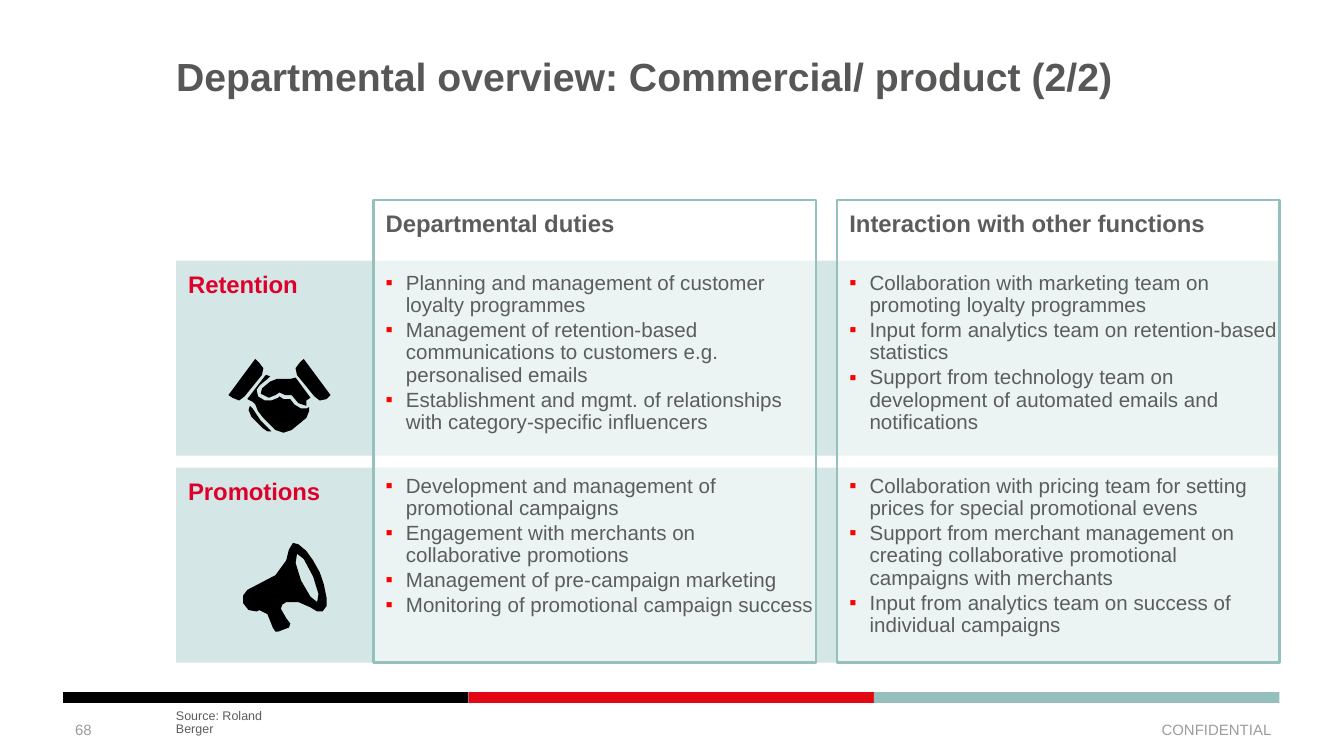
from lxml import etree
from pptx import Presentation
from pptx import util as u
from pptx.dml.color import RGBColor
from pptx.enum import shapes, text
from pptx.oxml.ns import qn

BLACK = RGBColor(0x00, 0x00, 0x00)
WHITE = RGBColor(0xFF, 0xFF, 0xFF)
BRAND_RED = RGBColor(0xE3, 0x06, 0x13)
LABEL_RED = RGBColor(0xDE, 0x00, 0x2B)
TEAL = RGBColor(0x94, 0xBF, 0xBD)
PANEL_TEAL = RGBColor(0x94, 0xC0, 0xBE)
PALE_TEAL = RGBColor(0xD4, 0xE6, 0xE5)
TITLE_GREY = RGBColor(0x57, 0x57, 0x56)
TEXT_GREY = RGBColor(0x5C, 0x5C, 0x5C)
FOOTER_GREY = RGBColor(0x9C, 0x9C, 0x9C)

# Grid, in inches
LEFT, RIGHT = 1.31, 9.52
COLUMN_LEFT, COLUMN_WIDTH, COLUMN_PITCH = 2.78, 3.29, 3.45
HEADER_TOP, ROW_TOP, ROW_HEIGHT, ROW_PITCH = 1.49, 1.94, 1.45, 1.54
DUTY_PITCH = 1.51
PANEL_HEIGHT = ROW_TOP + ROW_PITCH + ROW_HEIGHT - HEADER_TOP
STRIPE_LEFT, STRIPE_TOP, STRIPE_HEIGHT = 0.47, 5.15, 0.08
INSETS = (0.09, 0.09, 0, 0)
HEADING_SIZE = 12.75

ROWS = ["Retention", "Promotions"]
COLUMNS = {
    "Departmental duties": [
        ["Planning and management of customer loyalty programmes",
         "Management of retention-based communications to customers e.g. personalised emails",
         "Establishment and mgmt. of relationships with category-specific influencers"],
        ["Development and management of promotional campaigns",
         "Engagement with merchants on collaborative promotions",
         "Management of pre-campaign marketing",
         "Monitoring of promotional campaign success"],
    ],
    "Interaction with other functions": [
        ["Collaboration with marketing team on promoting loyalty programmes",
         "Input form analytics team on retention-based statistics",
         "Support from technology team on development of automated emails and notifications"],
        ["Collaboration with pricing team for setting prices for special promotional evens",
         "Support from merchant management on creating collaborative promotional campaigns with merchants",
         "Input from analytics team on success of individual campaigns"],
    ],
}

# Icon outlines, in hundredths of an inch
HANDS = [
    [(198, 279), (201, 280), (199, 282), (193, 287), (191, 290), (192, 295),
     (197, 298), (202, 298), (207, 296), (208, 295), (211, 297), (216, 297),
     (219, 301), (224, 304), (228, 304), (230, 303), (230, 306), (228, 311),
     (217, 320), (211, 322), (205, 320), (196, 311), (192, 306), (190, 301),
     (188, 299), (184, 297), (197, 280)],
    [(220, 281), (216, 282), (206, 282), (201, 284), (195, 289), (194, 293),
     (200, 296), (205, 294), (208, 292), (212, 294), (217, 294), (222, 300),
     (228, 302), (228, 298), (231, 296)],
    [(202, 321), (199, 321), (196, 319), (187, 310), (185, 305), (186, 302),
     (188, 304), (190, 307), (194, 313)],
]
CUFFS = [
    [(170, 294), (173, 296), (178, 298), (182, 295), (195, 279), (196, 274),
     (193, 270), (190, 267)],
    [(246, 294), (243, 297), (238, 298), (234, 295), (221, 279), (220, 274),
     (223, 270), (226, 267)],
]
MEGAPHONE = [
    [(238, 426), (233, 417), (228, 410), (222, 405), (218, 404), (215, 409),
     (213, 417), (205, 428), (184, 439), (181, 443), (181, 449), (185, 454),
     (191, 455), (193, 454), (197, 456), (199, 457), (203, 467), (205, 470),
     (207, 470), (215, 467), (216, 464), (213, 460), (209, 453), (210, 450),
     (213, 448), (222, 448), (231, 452), (236, 455), (240, 455), (243, 451),
     (243, 445), (241, 435)],
    [(236, 448), (231, 444), (224, 432), (220, 419), (221, 412), (226, 416),
     (233, 429), (237, 442)],
]

presentation = Presentation()
presentation.slide_width = u.Inches(10)
presentation.slide_height = presentation.slide_width * 9 // 16
slide = presentation.slides.add_slide(presentation.slide_layouts[6])


def add_rectangle(left, top, width, height, color):
    shape = slide.shapes.add_shape(
        shapes.MSO_SHAPE.RECTANGLE, *map(u.Inches, (left, top, width, height)))
    shape.shadow.inherit = False
    shape.fill.solid()
    shape.fill.fore_color.rgb = color
    shape.line.fill.background()
    return shape


def write(shape, lines, size, color, bold=False, insets=(0, 0, 0, 0), bullets=False,
          align=text.PP_ALIGN.LEFT, anchor=text.MSO_ANCHOR.TOP, spacing=0.9):
    frame = shape.text_frame
    frame.word_wrap = True
    frame.vertical_anchor = anchor
    (frame.margin_left, frame.margin_top,
     frame.margin_right, frame.margin_bottom) = map(u.Inches, insets)
    for index, line in enumerate(lines):
        paragraph = frame.paragraphs[0] if index == 0 else frame.add_paragraph()
        paragraph.text = line
        paragraph.alignment = align
        paragraph.line_spacing = spacing
        if index:
            paragraph.space_before = u.Pt(1.5)
        if bullets:
            properties = paragraph._p.get_or_add_pPr()
            properties.set("marL", str(u.Inches(0.15)))
            properties.set("indent", str(-u.Inches(0.15)))
            bullet_color = etree.SubElement(properties, qn("a:buClr"))
            etree.SubElement(bullet_color, qn("a:srgbClr"), val="FF0000")
            etree.SubElement(properties, qn("a:buFont"), typeface="Arial")
            etree.SubElement(properties, qn("a:buChar"), char="▪")
        font = paragraph.font
        font.name, font.size, font.bold = "Arial", u.Pt(size), bold
        font.color.rgb = color


# Footer stripe
stripe_width = (RIGHT - STRIPE_LEFT) / 3
for index, color in enumerate([BLACK, BRAND_RED, TEAL]):
    add_rectangle(STRIPE_LEFT + index * stripe_width, STRIPE_TOP,
                  stripe_width, STRIPE_HEIGHT, color)

# Title
title = slide.shapes.add_textbox(*map(u.Inches, (LEFT, 0.43, 8.09, 0.94)))
write(title, ["Departmental overview: Commercial/ product (2/2)"], 21, TITLE_GREY, bold=True)

# Department bands
for row, department in enumerate(ROWS):
    band = add_rectangle(LEFT, ROW_TOP + row * ROW_PITCH, RIGHT - LEFT, ROW_HEIGHT, PALE_TEAL)
    write(band, [department], HEADING_SIZE, LABEL_RED, bold=True, insets=INSETS)

# Translucent column panels with their bullet lists
for column, (heading, cells) in enumerate(COLUMNS.items()):
    left = COLUMN_LEFT + column * COLUMN_PITCH
    panel = add_rectangle(left, HEADER_TOP, COLUMN_WIDTH, PANEL_HEIGHT, WHITE)
    panel_color = panel._element.spPr.find(qn("a:solidFill")).find(qn("a:srgbClr"))
    etree.SubElement(panel_color, qn("a:alpha"), val="55000")
    panel.line.color.rgb = PANEL_TEAL
    panel.line.width = u.Pt(1.25)
    write(panel, [heading], HEADING_SIZE, TEXT_GREY, bold=True, insets=INSETS)
    for row, bullets in enumerate(cells):
        cell = slide.shapes.add_textbox(*map(
            u.Inches, (left, ROW_TOP + row * DUTY_PITCH, COLUMN_WIDTH, 1.31)))
        write(cell, bullets, 11, TEXT_GREY, insets=INSETS, bullets=True)

# Icons
for contours in [HANDS, CUFFS, MEGAPHONE]:
    builder = slide.shapes.build_freeform(*contours[0][0], scale=u.Inches(0.01))
    builder.add_line_segments(contours[0][1:], close=True)
    for contour in contours[1:]:
        builder.move_to(*contour[0])
        builder.add_line_segments(contour[1:], close=True)
    icon = builder.convert_to_shape()
    icon.shadow.inherit = False
    icon.fill.solid()
    icon.fill.fore_color.rgb = BLACK
    icon.line.fill.background()

# Footer texts
for left, width, label, align in [
    (0.46, 0.85, "68", text.PP_ALIGN.LEFT),
    (7.23, 2.33, "CONFIDENTIAL", text.PP_ALIGN.RIGHT),
]:
    footer = slide.shapes.add_textbox(*map(u.Inches, (left, 5.28, width, 0.3)))
    write(footer, [label], 8, FOOTER_GREY, insets=(0.1, 0.05, 0.1, 0.05), align=align,
          anchor=text.MSO_ANCHOR.MIDDLE, spacing=1.0)
source = slide.shapes.add_textbox(*map(u.Inches, (LEFT, 5.38, 0.87, 0.1)))
write(source, ["Source: Roland Berger"], 6.75, TEXT_GREY, anchor=text.MSO_ANCHOR.BOTTOM)

presentation.save("out.pptx")
